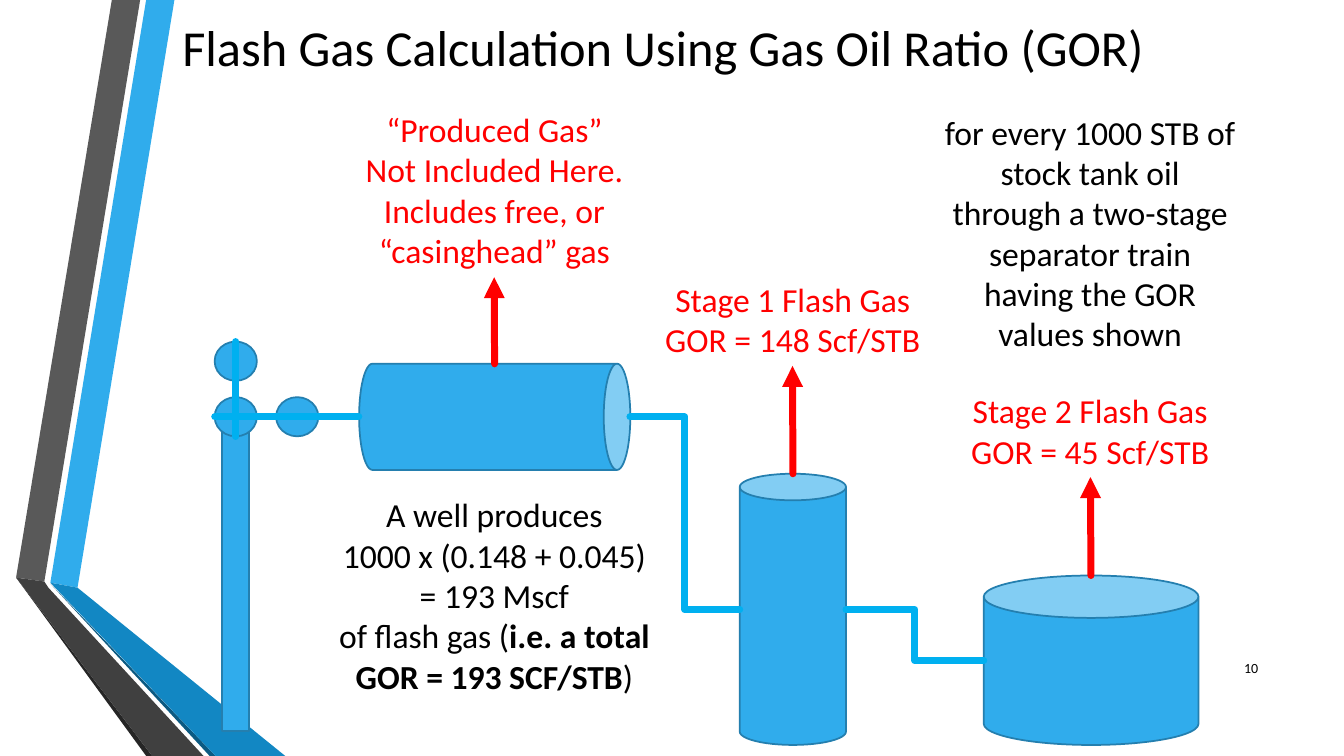
from typing import NamedTuple

from lxml import etree
from pptx import Presentation
from pptx.dml.color import RGBColor
from pptx.enum.shapes import MSO_CONNECTOR, MSO_SHAPE
from pptx.enum.text import MSO_ANCHOR, PP_ALIGN
from pptx.oxml.ns import qn
from pptx.util import Pt

RECT, OVAL, CAN = MSO_SHAPE.RECTANGLE, MSO_SHAPE.OVAL, MSO_SHAPE.CAN
LINE, BENT = MSO_CONNECTOR.STRAIGHT, MSO_CONNECTOR.ELBOW
LEFT, MID, RIGHT = PP_ALIGN.LEFT, PP_ALIGN.CENTER, PP_ALIGN.RIGHT
BLUE, EDGE, PIPE, RED, BLACK = "30ACEC", "247FAF", "00B0F0", "FF0000", "000000"


class Band(NamedTuple):
    fill: str
    dots: list[tuple[float, float]]


class Part(NamedTuple):
    kind: MSO_SHAPE
    x: float
    y: float
    w: float
    h: float
    turn: float = 0


class Link(NamedTuple):
    x1: float
    y1: float
    x2: float
    y2: float
    kind: MSO_CONNECTOR = LINE


class Note(NamedTuple):
    """Text box; in each line, ** switches bold on and off."""
    x: float
    y: float
    w: float
    h: float
    lines: list[str]
    color: str = BLACK
    size: float = 24
    align: PP_ALIGN = MID
    wrap: bool = True
    anchor: MSO_ANCHOR = MSO_ANCHOR.TOP


BANDS = [
    Band(BLUE, [(36, 416.2), (55.4, 419.8), (124.6, 0), (104.4, 0)]),
    Band("595959", [(100.1, 0), (79.9, 0), (11.5, 412.6), (31.7, 415.4)]),
    Band("262626", [(11.5, 412.6), (104.4, 540), (108.7, 540)]),
    Band("0C5A82", [(36, 416.9), (149.8, 540), (154.1, 540)]),
    Band("1287C3", [(36, 416.2), (154.1, 540), (203.8, 540), (55.4, 419.8)]),
    Band("404040", [(145.4, 540), (34.6, 419.8), (31.7, 415.4),
                    (11.5, 412.6), (108.7, 540)]),
]
WELL = [Part(RECT, 158.5, 298, 19.4, 223.9)] + [
    Part(OVAL, x, y, 30.2, 28) for x, y in [(153.3, 244), (153.3, 283.7), (197.2, 283.7)]
]
TANKS = [
    Part(CAN, 315.4, 200.9, 75.9, 193.7, 90),
    Part(CAN, 528.4, 338.4, 75.9, 193.7),
    Part(CAN, 702.7, 411.1, 153.4, 121),
]
PIPES = [
    Link(168.5, 244, 168.5, 311.8),
    Link(227.5, 297.8, 153.4, 297.8),
    Link(256.3, 297.8, 227.5, 297.8),
    Link(450, 297.8, 528.4, 435.4, BENT),
    Link(604.3, 435.4, 702.7, 471.8, BENT),
]
VENTS = [
    Link(566.4, 338.4, 566.1, 261.4),
    Link(779.3, 411.1, 778.9, 340.8),
    Link(353.3, 259.9, 353, 198),
]
NOTES = [
    Note(862.6, 463, 43.2, 28.8, ["10"], size=10, align=RIGHT, anchor=MSO_ANCHOR.MIDDLE),
    Note(123.1, 7.9, 720.7, 51, ["Flash Gas Calculation Using Gas Oil Ratio (GOR)"],
         size=36, align=LEFT, wrap=False),
    Note(667.4, 76.2, 222.5, 181.4,
         ["for every 1000 STB of stock tank oil through a two-stage separator "
          "train having the GOR values shown"]),
    Note(458.6, 195.8, 215.3, 65.5, ["Stage 1 Flash Gas", "GOR = 148 Scf/STB"], RED),
    Note(676.8, 275.3, 203.8, 65.5, ["Stage 2 Flash Gas", "GOR = 45 Scf/STB"], RED),
    Note(230.4, 349.4, 245.5, 152.6,
         ["A well produces", "1000 x (0.148 + 0.045)", "= 193 Mscf",
          "of flash gas (**i.e. a total GOR = 193 SCF/STB**)"]),
    Note(245.5, 74.2, 215.3, 123.8,
         ["“Produced Gas”", "Not Included Here. Includes free, or “casinghead” gas"], RED),
]


def paint(item, color: str) -> None:
    """Give a fill or line format one solid colour."""
    fill = getattr(item, "fill", item)
    fill.solid()
    fill.fore_color.rgb = RGBColor.from_string(color)


def add_band(shapes, band: Band) -> None:
    dots = [(Pt(x), Pt(y)) for x, y in band.dots]
    pen = shapes.build_freeform(*dots[0])
    pen.add_line_segments(dots[1:], close=True)
    shape = pen.convert_to_shape()
    shape.shadow.inherit = False
    paint(shape.fill, band.fill)
    shape.line.fill.background()


def add_part(shapes, part: Part) -> None:
    shape = shapes.add_shape(part.kind, Pt(part.x), Pt(part.y), Pt(part.w), Pt(part.h))
    shape.rotation = part.turn
    shape.shadow.inherit = False
    paint(shape.fill, BLUE)
    paint(shape.line, EDGE)
    shape.line.width = Pt(1.25)


def add_link(shapes, link: Link, color: str, arrow: bool = False) -> None:
    wire = shapes.add_connector(link.kind, Pt(link.x1), Pt(link.y1), Pt(link.x2), Pt(link.y2))
    paint(wire.line, color)
    wire.line.width = Pt(5)
    stroke = wire.get_or_add_ln()
    stroke.set("cap", "rnd")
    etree.SubElement(stroke, qn("a:round"))
    if arrow:
        etree.SubElement(stroke, qn("a:tailEnd"), type="triangle")
    etree.SubElement(stroke.getparent(), qn("a:effectLst"))


def add_note(shapes, note: Note) -> None:
    frame = shapes.add_textbox(Pt(note.x), Pt(note.y), Pt(note.w), Pt(note.h)).text_frame
    frame.word_wrap = note.wrap
    frame.vertical_anchor = note.anchor
    for i, line in enumerate(note.lines):
        para = frame.add_paragraph() if i else frame.paragraphs[0]
        para.alignment = note.align
        para.font.name = "Calibri"
        para.font.size = Pt(note.size)
        paint(para.font, note.color)
        for j, piece in enumerate(line.split("**")):
            run = para.add_run()
            run.text = piece
            if j % 2:
                run.font.bold = True


def main() -> None:
    deck = Presentation()
    deck.slide_width, deck.slide_height = Pt(960), Pt(540)
    shapes = deck.slides.add_slide(deck.slide_layouts[6]).shapes
    for band in BANDS:
        add_band(shapes, band)
    for part in WELL + TANKS:
        add_part(shapes, part)
    for link in PIPES:
        add_link(shapes, link, PIPE)
    for note in NOTES:
        add_note(shapes, note)
    for link in VENTS:
        add_link(shapes, link, RED, arrow=True)
    deck.save("out.pptx")


if __name__ == "__main__":
    main()
